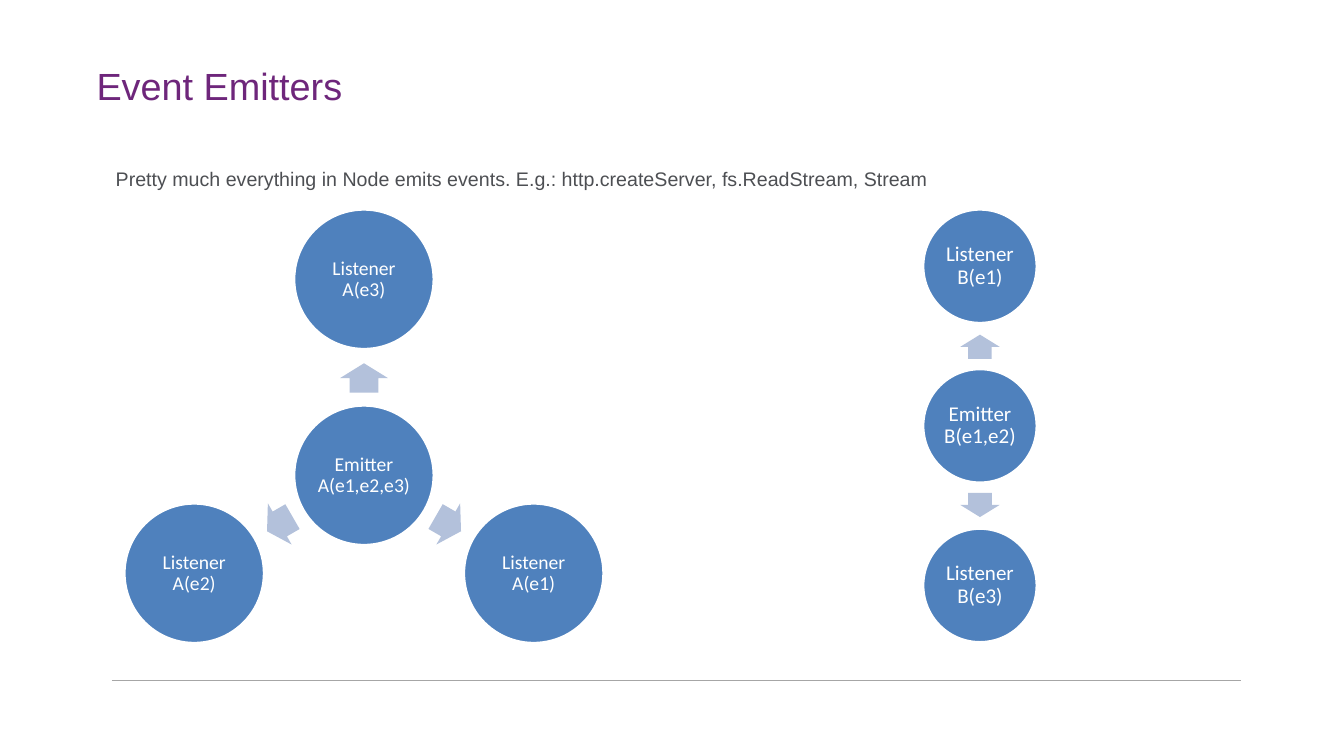
import math
from lxml import etree
from pptx import Presentation
from pptx.dml.color import RGBColor
from pptx.enum import shapes, text
from pptx.oxml import ns
from pptx.util import Pt

PURPLE = RGBColor(0x6E, 0x26, 0x7B)
GREY = RGBColor(0x4D, 0x4F, 0x53)
RULE = RGBColor(0xA6, 0xA6, 0xA6)
BLUE = RGBColor(0x4F, 0x81, 0xBD)
PALE = RGBColor(0xB3, 0xC1, 0xDB)
WHITE = RGBColor(0xFF, 0xFF, 0xFF)

TITLE = "Event Emitters"
INTRO = ("Pretty much everything in Node emits events. E.g.: "
         "http.createServer, fs.ReadStream, Stream")
CLUSTERS = [
    {"emitter": "Emitter A(e1,e2,e3)", "center": (260, 339.5),
     "diameter": 100, "orbit": 140, "arrow": (21, 34), "arrow_orbit": 69.5, "size": 14,
     "listeners": [("Listener A(e3)", 270), ("Listener A(e1)", 30), ("Listener A(e2)", 150)]},
    {"emitter": "Emitter B(e1,e2)", "center": (700, 304.2),
     "diameter": 81.4, "orbit": 114, "arrow": (17.3, 28), "arrow_orbit": 56.5, "size": 15,
     "listeners": [("Listener B(e1)", 270), ("Listener B(e3)", 90)]},
]


def write(frame, words, size, font, color, frame_format, para_format):
    for name, value in frame_format.items():
        setattr(frame, name, value)
    para = frame.paragraphs[0]
    for name, value in para_format.items():
        setattr(para, name, value)
    span = para.add_run()
    span.text = words
    for name, value in {"size": Pt(size), "name": font}.items():
        setattr(span.font, name, value)
    span.font.color.rgb = color


def add_centered(page, kind, center, width, height, color):
    x, y = center
    shape = page.shapes.add_shape(
        kind, Pt(x - width / 2), Pt(y - height / 2), Pt(width), Pt(height))
    shape.shadow.inherit = False
    shape.fill.solid()
    shape.fill.fore_color.rgb = color
    shape.line.fill.background()
    return shape


def add_circle(page, words, center, diameter, size):
    circle = add_centered(page, shapes.MSO_SHAPE.OVAL, center, diameter, diameter, BLUE)
    circle.line.color.rgb = WHITE
    circle.line.width = Pt(2)
    margins = {f"margin_{side}": Pt(1.4) for side in ("left", "top", "right", "bottom")}
    write(circle.text_frame, words, size, "Calibri", WHITE,
          {"word_wrap": True, "vertical_anchor": text.MSO_ANCHOR.MIDDLE, **margins},
          {"alignment": text.PP_ALIGN.CENTER, "line_spacing": 0.9})


def add_arrow(page, center, width, height, angle):
    arrow = add_centered(page, shapes.MSO_SHAPE.RIGHT_ARROW, center, width, height, PALE)
    arrow.adjustments[0] = 0.6
    arrow.adjustments[1] = 0.5
    arrow.rotation = angle


def add_cluster(page, cluster):
    def around(radius, angle):
        x, y = cluster["center"]
        turn = math.radians(angle)
        return x + radius * math.cos(turn), y + radius * math.sin(turn)

    diameter, size = cluster["diameter"], cluster["size"]
    add_circle(page, cluster["emitter"], cluster["center"], diameter, size)
    for words, angle in cluster["listeners"]:
        add_arrow(page, around(cluster["arrow_orbit"], angle), *cluster["arrow"], angle)
        add_circle(page, words, around(cluster["orbit"], angle), diameter, size)


def main():
    deck = Presentation()
    deck.slide_width, deck.slide_height = Pt(960), Pt(540)
    page = deck.slides.add_slide(deck.slide_layouts[6])

    rule = page.shapes.add_connector(
        shapes.MSO_CONNECTOR.STRAIGHT, Pt(80), Pt(486), Pt(886.5), Pt(486))
    rule.line.color.rgb = RULE
    rule.line.width = Pt(0.75)
    etree.SubElement(rule._element.spPr, ns.qn("a:effectLst"))

    title = page.shapes.add_textbox(Pt(48), Pt(36), Pt(864), Pt(50.4))
    write(title.text_frame, TITLE, 27, "Arial", PURPLE,
          {"word_wrap": True, "vertical_anchor": text.MSO_ANCHOR.MIDDLE,
           "margin_left": Pt(21)}, {})

    for cluster in CLUSTERS:
        add_cluster(page, cluster)

    intro = page.shapes.add_textbox(Pt(75.6), Pt(116), Pt(597.6), Pt(24.5))
    write(intro.text_frame, INTRO, 14, "Arial", GREY,
          {"word_wrap": False, "auto_size": text.MSO_AUTO_SIZE.SHAPE_TO_FIT_TEXT}, {})

    deck.save("out.pptx")


if __name__ == "__main__":
    main()
